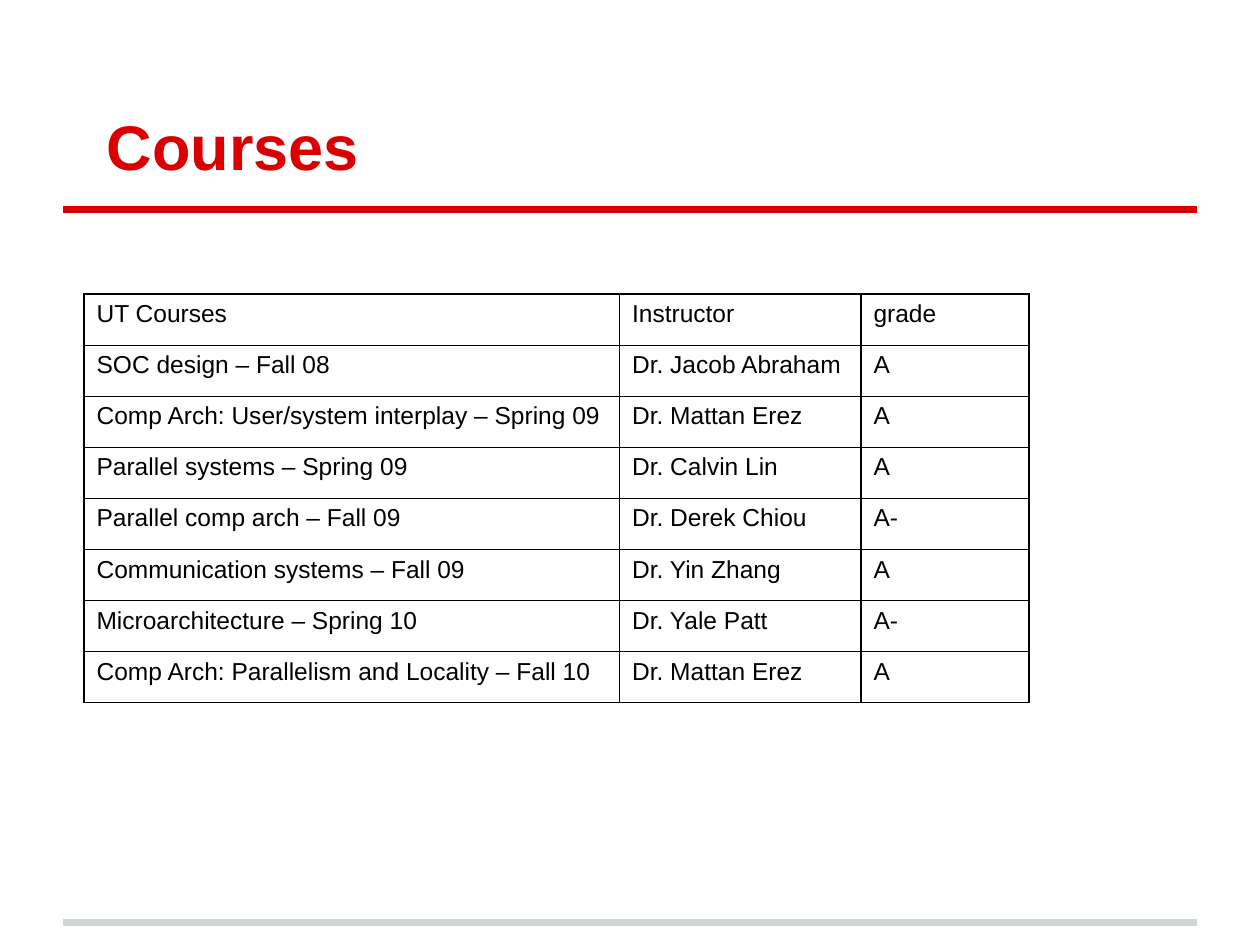
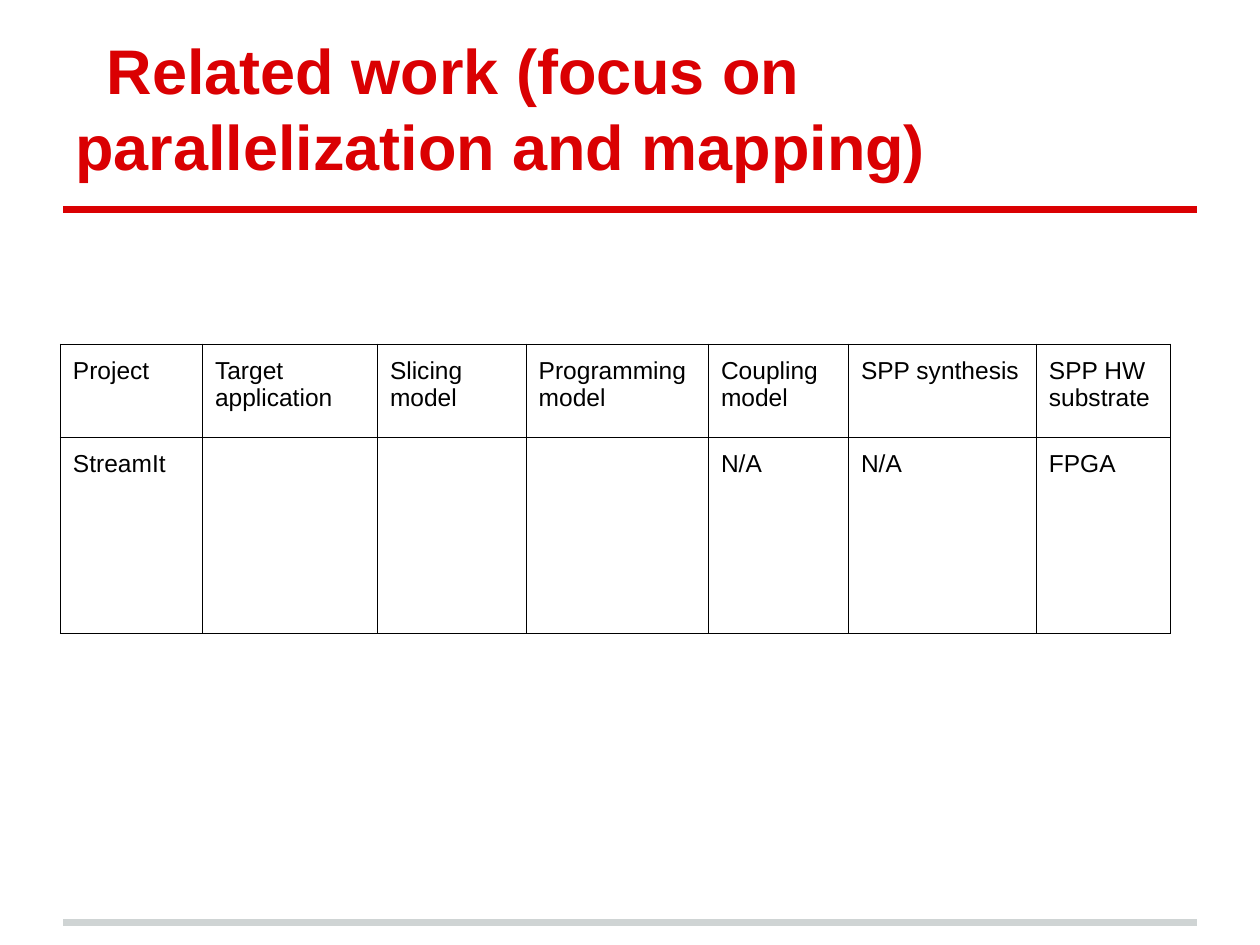
from dataclasses import dataclass

from lxml import etree
from pptx import Presentation
from pptx.dml.color import RGBColor
from pptx.enum.shapes import MSO_CONNECTOR
from pptx.enum.text import MSO_ANCHOR, MSO_AUTO_SIZE
from pptx.oxml.ns import qn
from pptx.slide import Slide
from pptx.table import _Cell
from pptx.text.text import _Paragraph
from pptx.util import Pt

STRAIGHT = MSO_CONNECTOR.STRAIGHT
BOTTOM = MSO_ANCHOR.BOTTOM
TOP = MSO_ANCHOR.TOP
NO_AUTOFIT = MSO_AUTO_SIZE.NONE
BLANK_LAYOUT = 6


@dataclass(frozen=True)
class Theme:
    font: str = "Arial"
    accent: str = "DA0002"
    footer: str = "CFD4D4"
    ink: str = "000000"
    background: str = "FFFFFF"
    title_size: float = 36
    table_size: float = 14
    rule_width: float = 4
    border_width: float = 0.75
    inset: float = 7.2


@dataclass(frozen=True)
class Rule:
    top: float
    color: str
    left: float = 36
    right: float = 684


@dataclass(frozen=True)
class TableSpec:
    left: float
    top: float
    column_widths: tuple[float, ...]
    row_heights: tuple[float, ...]
    rows: tuple[tuple[str, ...], ...]
    vertical_inset: float


@dataclass(frozen=True)
class SlideSpec:
    title: str
    table: TableSpec


THEME = Theme()
RULES = (Rule(527, THEME.footer), Rule(120, THEME.accent))

# Slide content
COURSE_ROWS = (
    ("UT Courses", "Instructor", "grade"),
    ("SOC design – Fall 08", "Dr. Jacob Abraham", "A"),
    ("Comp Arch: User/system interplay – Spring 09", "Dr. Mattan Erez", "A"),
    ("Parallel systems – Spring 09", "Dr. Calvin Lin", "A"),
    ("Parallel comp arch – Fall 09", "Dr. Derek Chiou", "A-"),
    ("Communication systems – Fall 09", "Dr. Yin Zhang", "A"),
    ("Microarchitecture – Spring 10", "Dr. Yale Patt", "A-"),
    ("Comp Arch: Parallelism and Locality – Fall 10", "Dr. Mattan Erez", "A"),
)
PROJECT_ROWS = (
    ("Project", "Target application", "Slicing model", "Programming model",
     "Coupling model", "SPP synthesis", "SPP HW substrate"),
    ("StreamIt", "", "", "", "N/A", "N/A", "FPGA"),
)
SLIDES = (
    SlideSpec("Courses", TableSpec(
        48, 168, (306, 138, 96), (29.2,) * len(COURSE_ROWS),
        COURSE_ROWS, 3.6)),
    SlideSpec("Related work (focus on parallelization and mapping)", TableSpec(
        34.5, 196.7, (81.2, 100, 85, 104.2, 80, 107.4, 76.5), (53.2, 112.3),
        PROJECT_ROWS, THEME.inset)),
)


def add_text(paragraph: _Paragraph, text: str, size: float, color: str,
             bold: bool = False) -> None:
    run = paragraph.add_run()
    run.text = text
    run.font.name = THEME.font
    run.font.size = Pt(size)
    run.font.bold = bold
    run.font.color.rgb = RGBColor.from_string(color)


def add_rule(slide: Slide, rule: Rule) -> None:
    connector = slide.shapes.add_connector(
        STRAIGHT, Pt(rule.left), Pt(rule.top), Pt(rule.right), Pt(rule.top))
    connector.line.width = Pt(THEME.rule_width)
    connector.line.color.rgb = RGBColor.from_string(rule.color)
    etree.SubElement(connector._element.spPr, qn("a:effectLst"))


def add_title(slide: Slide, title: str) -> None:
    frame = slide.shapes.add_textbox(Pt(36), Pt(21.6), Pt(648), Pt(90)).text_frame
    frame.word_wrap = True
    frame.auto_size = NO_AUTOFIT
    frame.vertical_anchor = BOTTOM
    frame.margin_left = frame.margin_right = Pt(THEME.inset)
    frame.margin_top = frame.margin_bottom = Pt(THEME.inset)
    paragraph = frame.paragraphs[0]
    properties = paragraph._p.get_or_add_pPr()
    properties.set("marL", "0")
    properties.set("indent", str(Pt(18)))
    add_text(paragraph, title, THEME.title_size, THEME.accent, bold=True)


def add_borders(cell: _Cell) -> None:
    properties = cell._tc.get_or_add_tcPr()
    for side in ("lnL", "lnR", "lnT", "lnB"):
        line = etree.SubElement(properties, qn(f"a:{side}"),
                                w=str(Pt(THEME.border_width)))
        fill = etree.SubElement(line, qn("a:solidFill"))
        etree.SubElement(fill, qn("a:srgbClr"), val=THEME.ink)


def fill_cell(cell: _Cell, text: str, vertical_inset: float) -> None:
    add_borders(cell)
    cell.fill.background()
    cell.vertical_anchor = TOP
    cell.margin_left = cell.margin_right = Pt(THEME.inset)
    cell.margin_top = cell.margin_bottom = Pt(vertical_inset)
    if text:
        add_text(cell.text_frame.paragraphs[0], text, THEME.table_size, THEME.ink)


def add_grid(slide: Slide, spec: TableSpec) -> None:
    table = slide.shapes.add_table(
        len(spec.row_heights), len(spec.column_widths), Pt(spec.left), Pt(spec.top),
        Pt(sum(spec.column_widths)), Pt(sum(spec.row_heights))).table
    table.first_row = False
    table.horz_banding = False
    for column, width in zip(table.columns, spec.column_widths):
        column.width = Pt(width)
    for row, height, texts in zip(table.rows, spec.row_heights, spec.rows):
        row.height = Pt(height)
        for cell, text in zip(row.cells, texts):
            fill_cell(cell, text, spec.vertical_inset)


def main() -> None:
    presentation = Presentation()
    presentation.slide_width = Pt(720)
    presentation.slide_height = Pt(540)
    for spec in SLIDES:
        slide = presentation.slides.add_slide(
            presentation.slide_layouts[BLANK_LAYOUT])
        background = slide.background.fill
        background.solid()
        background.fore_color.rgb = RGBColor.from_string(THEME.background)
        # Shared lines and title, then the table
        for rule in RULES:
            add_rule(slide, rule)
        add_title(slide, spec.title)
        add_grid(slide, spec.table)
    presentation.save("out.pptx")


if __name__ == "__main__":
    main()
